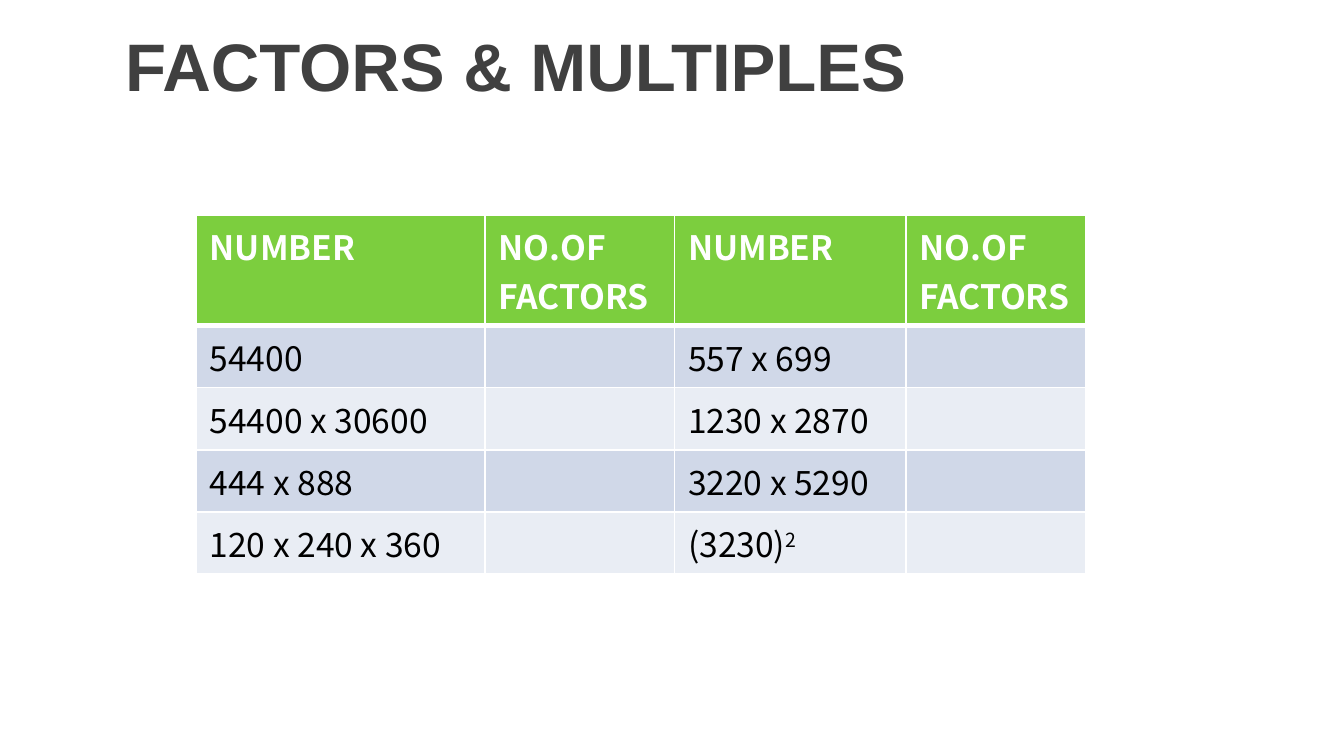
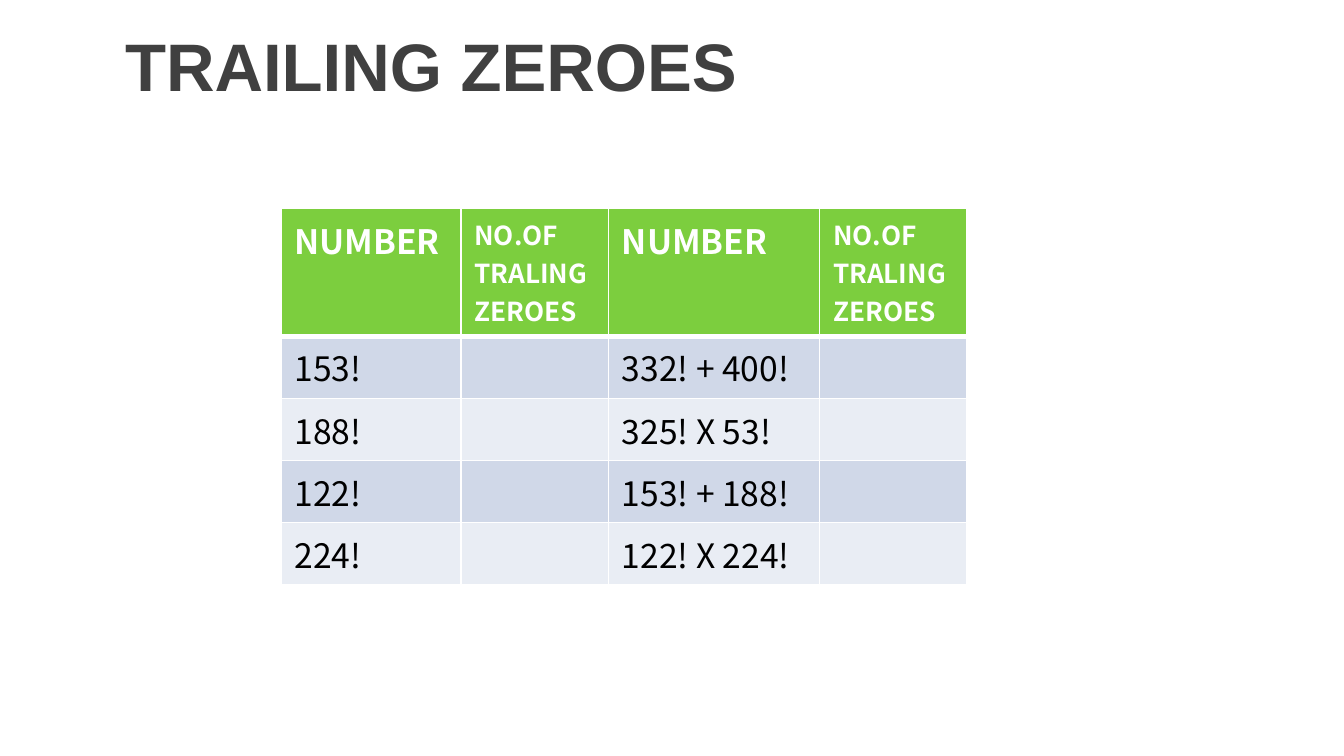
from lxml.etree import SubElement
from pptx import Presentation
from pptx.dml.color import RGBColor
from pptx.enum.text import MSO_ANCHOR as Anchor, MSO_AUTO_SIZE as AutoSize, PP_ALIGN as Align
from pptx.oxml.ns import qn
from pptx.util import Cm, Pt

COLORS = {"title": "404040", "header": "7CCE3E", "band": "D0D8E8", "light": "E9EDF4",
          "white": "FFFFFF", "text": "000000"}
TITLE_FONT, TABLE_FONT = "Arial", "Noto Sans CJK KR"
TITLE_ONLY = 5

# Lengths in cm; "^" raises what follows it.
PAGES = [
    {
        "title": "FACTORS & MULTIPLES",
        "corner": (3.71, 4.06),
        "columns": (5.46, 3.58, 4.37, 3.4),
        "heights": (1.78, 1.02),
        "count_header": "NO.OF\nFACTORS",
        "count_size": 18,
        "numbers": [("54400", "557 x 699"), ("54400 x 30600", "1230 x 2870"),
                    ("444 x 888", "3220 x 5290"), ("120 x 240 x 360", "(3230)^2")],
    },
    {
        "title": "TRAILING ZEROES",
        "corner": (5.31, 3.94),
        "columns": (3.4, 2.79, 3.99, 2.79),
        "heights": (1.96, 1.14),
        "count_header": "NO.OF\nTRALING\nZEROES",
        "count_size": 14,
        "numbers": [("153!", "332! + 400!"), ("188!", "325! X 53!"),
                    ("122!", "153! + 188!"), ("224!", "122! X 224!")],
    },
]


def color(name):
    return RGBColor.from_string(COLORS[name])


def style(font, name, size, color_name, bold):
    font.name, font.size, font.bold = name, Pt(size), bold
    font.color.rgb = color(color_name)


def add_title(page, text):
    box = page.shapes.title
    box.left, box.top, box.width, box.height = Cm(2.11), Cm(0), Cm(20.9), Cm(2.46)
    frame = box.text_frame
    frame.text = text
    frame.auto_size, frame.vertical_anchor = AutoSize.NONE, Anchor.MIDDLE
    para = frame.paragraphs[0]
    para.alignment = Align.LEFT
    style(para.font, TITLE_FONT, 36, "title", True)


def set_borders(cell, bottom):
    """Draw white cell borders, before the fill because the schema wants that order."""
    props = cell._tc.get_or_add_tcPr()
    for side, width in (("L", 1), ("R", 1), ("T", 1), ("B", bottom)):
        line = SubElement(props, qn(f"a:ln{side}"), w=str(Pt(width)))
        fill = SubElement(line, qn("a:solidFill"))
        SubElement(fill, qn("a:srgbClr"), val=COLORS["white"])


def fill_cell(cell, text, size, header, fill):
    set_borders(cell, 3 if header else 1)
    cell.fill.solid()
    cell.fill.fore_color.rgb = color(fill)
    base, _, power = text.partition("^")
    cell.text = base
    for para in cell.text_frame.paragraphs:
        style(para.font, TABLE_FONT, size, "white" if header else "text", header)
    if power:
        span = cell.text_frame.paragraphs[0].add_run()
        span.text = power
        span._r.get_or_add_rPr().set("baseline", "30000")


def add_number_table(page, content):
    header = ("NUMBER", content["count_header"]) * 2
    rows = [header] + [(left, "", right, "") for left, right in content["numbers"]]
    header_height, row_height = content["heights"]
    heights = [header_height] + [row_height] * len(content["numbers"])
    left, top = content["corner"]
    table = page.shapes.add_table(len(rows), len(header), Cm(left), Cm(top),
                                  Cm(sum(content["columns"])), Cm(sum(heights))).table
    for column, width in zip(table.columns, content["columns"]):
        column.width = Cm(width)
    for index, (row, height, texts) in enumerate(zip(table.rows, heights, rows)):
        row.height = Cm(height)
        is_header = index == 0
        fill = "header" if is_header else "band" if index % 2 else "light"
        for position, (cell, text) in enumerate(zip(row.cells, texts)):
            size = content["count_size"] if is_header and position % 2 else 18
            fill_cell(cell, text, size, is_header, fill)


def main():
    deck = Presentation()
    deck.slide_width, deck.slide_height = Cm(25.4), Cm(14.29)
    for content in PAGES:
        page = deck.slides.add_slide(deck.slide_layouts[TITLE_ONLY])
        add_title(page, content["title"])
        add_number_table(page, content)
    deck.save("out.pptx")


if __name__ == "__main__":
    main()
